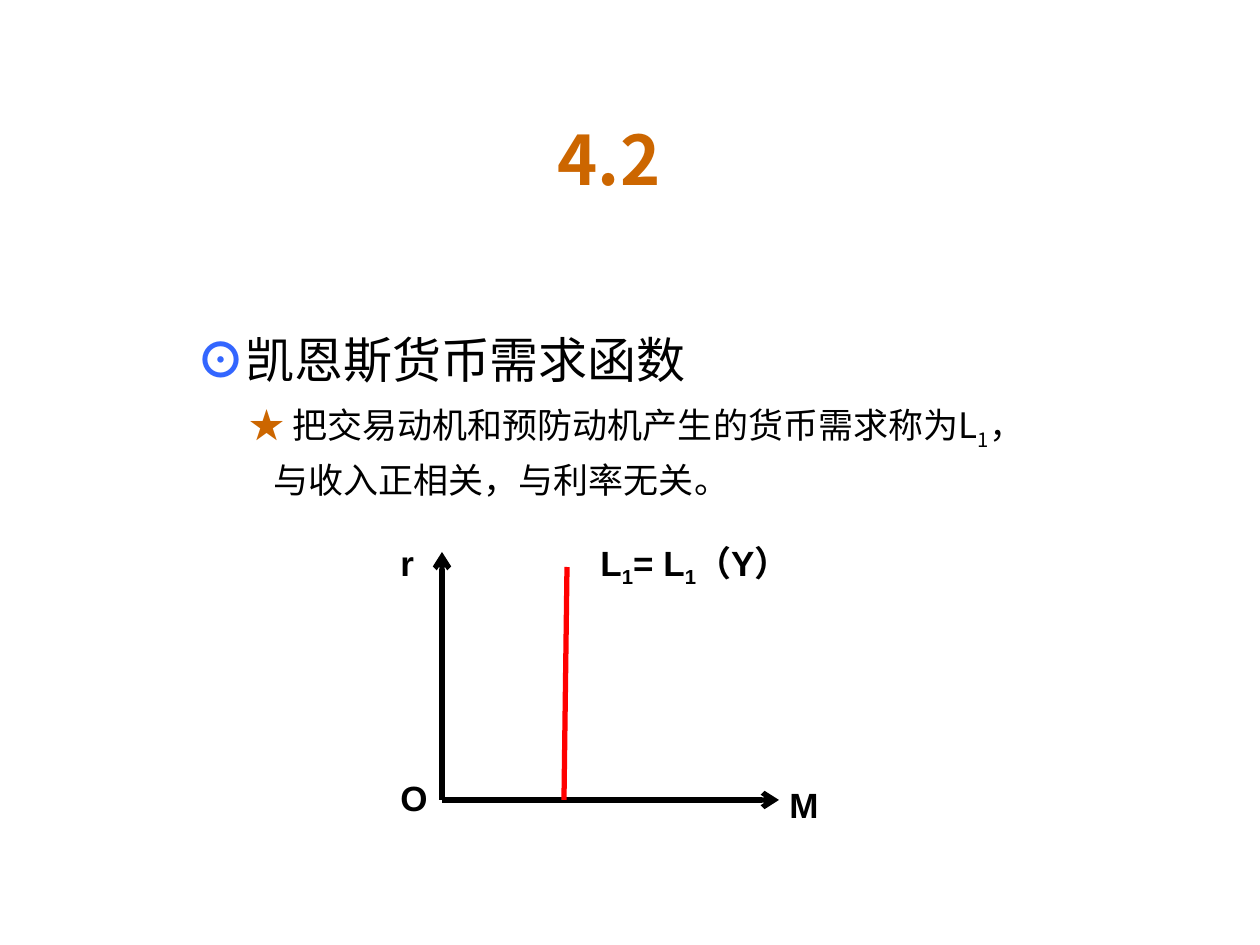
from lxml import etree
from pptx import Presentation
from pptx.dml.color import RGBColor
from pptx.enum.shapes import MSO_CONNECTOR
from pptx.enum.text import MSO_ANCHOR, PP_ALIGN
from pptx.oxml.ns import qn
from pptx.util import Emu, Pt

LINE = MSO_CONNECTOR.STRAIGHT
MIDDLE = MSO_ANCHOR.MIDDLE
CENTER = PP_ALIGN.CENTER
BLACK = RGBColor(0x00, 0x00, 0x00)
RED = RGBColor(0xFF, 0x00, 0x00)
BLUE = RGBColor(0x33, 0x66, 0xFF)
ORANGE = RGBColor(0xCC, 0x66, 0x00)
SANS = "Noto Sans CJK SC"
SCALE = 914400 / 126

prs = Presentation()
prs.slide_width = Emu(round(1260 * SCALE))
prs.slide_height = Emu(round(945 * SCALE))
slide = prs.slides.add_slide(prs.slide_layouts[6])


def add_box(*place):
    box = slide.shapes.add_textbox(*[Emu(round(n * SCALE)) for n in place])
    box.text_frame.word_wrap = True
    return box.text_frame


def add_runs(par, parts, size, font, bold):
    par.font.size = Pt(size)
    par.font.name = font
    par.font.bold = bold
    par.font.color.rgb = BLACK
    for text, kind in parts:
        run = par.add_run()
        run.text = text
        if kind == "sub":
            run.font._element.set("baseline", "-25000")
        elif kind:
            run.font.color.rgb = kind
            run.font.bold = True


# Title
frame = add_box(105, 116, 1008, 84)
frame.vertical_anchor = MIDDLE
title = frame.paragraphs[0]
title.alignment = CENTER
add_runs(title, [("4.2", ORANGE)], 39, SANS, True)

# Body: text parts, size, font, left indent, space before
body = [
    ([("⊙", BLUE), ("凯恩斯货币需求函数", None)], 28, SANS, 0, 0),
    ([("★ ", ORANGE), ("把交易动机和预防动机产生的货币需求称为L", None),
      ("1", "sub"), ("，", None)], 20, SANS, 53, 8.8),
    ([("与收入正相关，与利率无关。", None)], 20, SANS, 77, 8.8),
]
frame = add_box(184, 330, 954, 210)
for i, (parts, size, font, left, gap) in enumerate(body):
    par = frame.add_paragraph() if i else frame.paragraphs[0]
    par.line_spacing = 0.9
    par.space_before = Pt(gap)
    par._p.get_or_add_pPr().set("marL", str(round(left * SCALE)))
    add_runs(par, parts, size, font, False)

# Axes and demand line
lines = [
    (442, 800, 442, 552, BLACK, True),
    (442, 800, 779, 800, BLACK, True),
    (567, 567, 564, 800, RED, False),
]
for *ends, color, arrow in lines:
    line = slide.shapes.add_connector(LINE, *[Emu(round(n * SCALE)) for n in ends])
    line.line.color.rgb = color
    line.line.width = Pt(3)
    if arrow:
        etree.SubElement(line.line._get_or_add_ln(), qn("a:tailEnd"), type="arrow")
    etree.SubElement(line._element.spPr, qn("a:effectLst"))

# Graph labels
labels = [
    (388, 770, 63, 55, [("O", None)]),
    (388, 535, 50, 55, [("r", None)]),
    (777, 777, 92, 55, [("M", None)]),
    (588, 535, 223, 103, [("L", None), ("1", "sub"), ("= L", None),
                          ("1", "sub"), ("（Y）", None)]),
]
for *place, parts in labels:
    add_runs(add_box(*place).paragraphs[0], parts, 20, "Arial", True)

prs.save("out.pptx")
